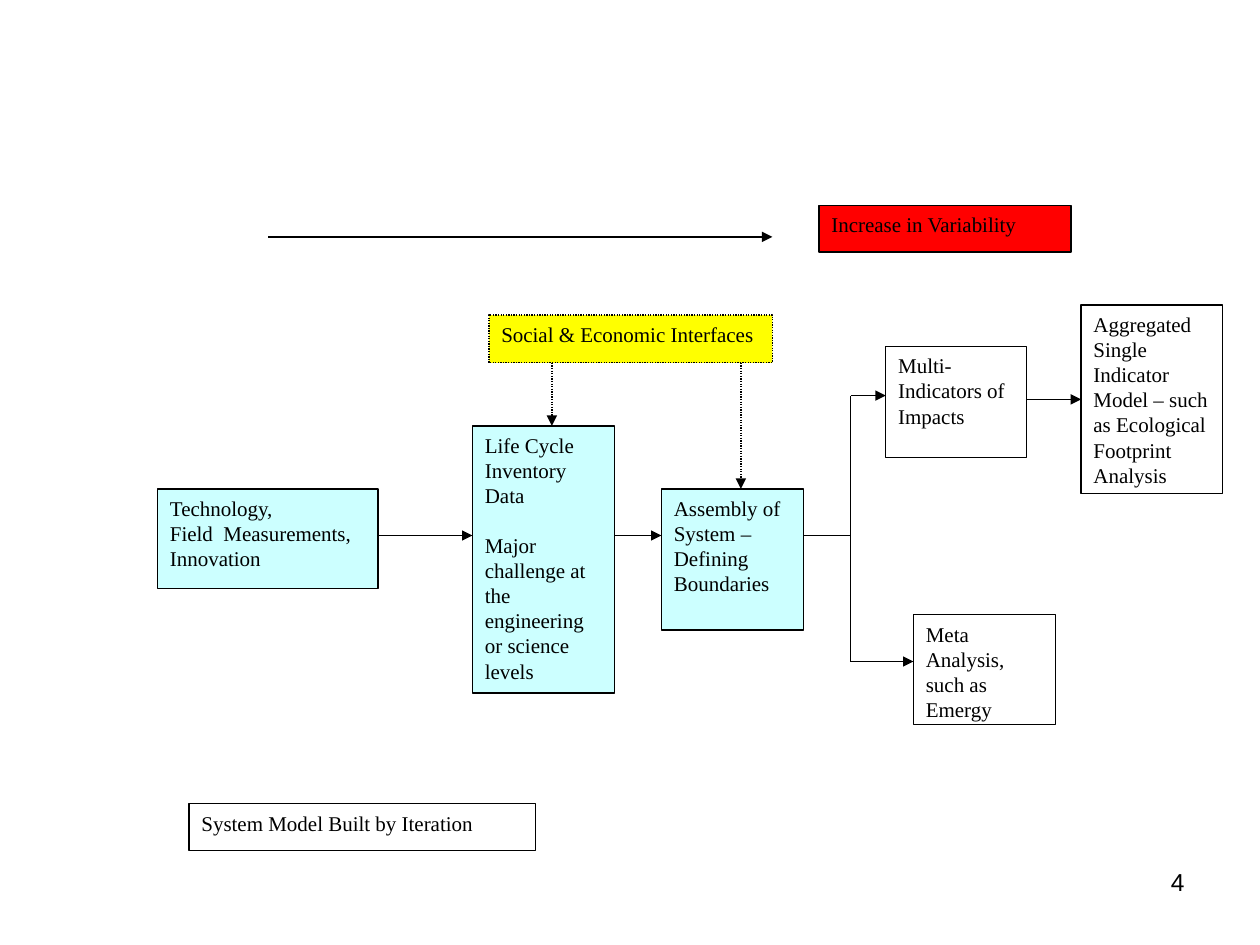
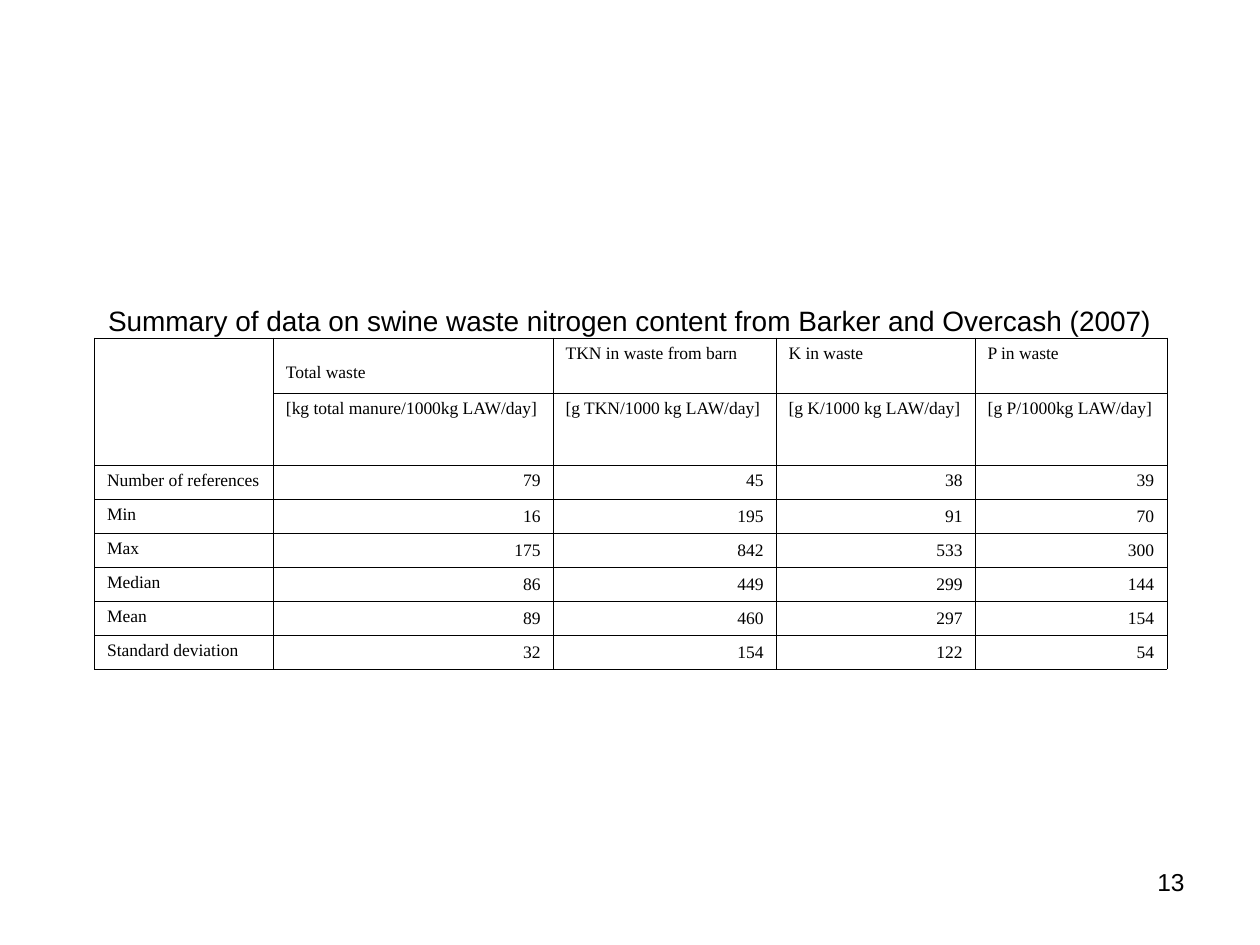
from dataclasses import dataclass

from lxml import etree
from pptx import Presentation
from pptx.dml.color import RGBColor
from pptx.enum.dml import MSO_LINE
from pptx.enum.shapes import MSO_CONNECTOR, MSO_SHAPE
from pptx.enum.text import MSO_ANCHOR, PP_ALIGN
from pptx.oxml.ns import qn
from pptx.util import Inches, Pt

RECTANGLE = MSO_SHAPE.RECTANGLE
STRAIGHT = MSO_CONNECTOR.STRAIGHT
DOTTED = MSO_LINE.ROUND_DOT
LEFT, RIGHT = PP_ALIGN.LEFT, PP_ALIGN.RIGHT
TOP, MIDDLE, BOTTOM = MSO_ANCHOR.TOP, MSO_ANCHOR.MIDDLE, MSO_ANCHOR.BOTTOM


@dataclass(frozen=True)
class Theme:
    black: str = "000000"
    white: str = "FFFFFF"
    cyan: str = "CCFFFF"
    yellow: str = "FFFF00"
    red: str = "FF0000"
    serif: str = "Times New Roman"
    sans: str = "Arial"
    title_size: int = 16
    number_size: int = 14
    diagram_size: int = 12
    table_size: int = 10
    line_width: float = 0.75
    border_width: float = 0.06


THEME = Theme()


@dataclass(frozen=True)
class Box:
    """A rectangle in inches."""
    left: float
    top: float
    width: float
    height: float

    @property
    def right(self):
        return self.left + self.width

    @property
    def bottom(self):
        return self.top + self.height

    def inside(self, left, top, width, height):
        """A box placed relative to this one's top left corner."""
        return Box(self.left + left, self.top + top, width, height)

    def lengths(self):
        return [Inches(value) for value in (self.left, self.top, self.width, self.height)]


NUMBER_BOX = Box(7.17, 6.83, 2.33, 0.52)
DIAGRAM_BOX = Box(1.25, 1.63, 8.45, 5.12)
SUMMARY_BOX = Box(0.75, 2.36, 8.51, 2.73)

COLUMN_WIDTHS = [1.42, 2.22, 1.77, 1.58, 1.52]
ROW_HEIGHTS = [0.44, 0.57] + [0.27] * 6
SUMMARY_ROWS = [
    ["", "Total waste", "TKN in waste from barn", "K in waste", "P in waste"],
    ["", "[kg total manure/1000kg LAW/day]", "[g TKN/1000 kg LAW/day]",
     "[g K/1000 kg LAW/day]", "[g P/1000kg LAW/day]"],
    ["Number of references", 79, 45, 38, 39],
    ["Min", 16, 195, 91, 70],
    ["Max", 175, 842, 533, 300],
    ["Median", 86, 449, 299, 144],
    ["Mean", 89, 460, 297, 154],
    ["Standard deviation", 32, 154, 122, 54],
]


def write_text(text_frame, text, size, font=THEME.serif, align=LEFT):
    text_frame.text = text
    for paragraph in text_frame.paragraphs:
        paragraph.alignment = align
        for run in paragraph.runs:
            run.font.name = font
            run.font.size = Pt(size)
            run.font.color.rgb = RGBColor.from_string(THEME.black)


def style_line(line, dash=None):
    line.color.rgb = RGBColor.from_string(THEME.black)
    line.width = Pt(THEME.line_width)
    if dash is not None:
        line.dash_style = dash


def add_label(slide, box, text, size, align=LEFT, anchor=TOP, wrap=True):
    text_frame = slide.shapes.add_textbox(*box.lengths()).text_frame
    text_frame.word_wrap = wrap
    text_frame.vertical_anchor = anchor
    write_text(text_frame, text, size, THEME.sans, align)


def add_page_number(slide, number):
    add_label(slide, NUMBER_BOX, str(number), THEME.number_size, align=RIGHT)


def add_node(slide, box, text, fill=THEME.white, dash=None):
    shape = slide.shapes.add_shape(RECTANGLE, *box.lengths())
    shape.shadow.inherit = False
    shape.fill.solid()
    shape.fill.fore_color.rgb = RGBColor.from_string(fill)
    style_line(shape.line, dash)
    shape.text_frame.word_wrap = True
    shape.text_frame.vertical_anchor = TOP
    write_text(shape.text_frame, text, THEME.diagram_size)
    return shape


def add_line(slide, start, end, arrow=True, dash=None):
    points = [Inches(value) for value in (*start, *end)]
    connector = slide.shapes.add_connector(STRAIGHT, *points)
    style_line(connector.line, dash)
    properties = connector._element.spPr
    if arrow:
        etree.SubElement(properties.find(qn("a:ln")), qn("a:tailEnd"), type="triangle")
    etree.SubElement(properties, qn("a:effectLst"))


def add_system_diagram(slide, box):
    technology = box.inside(0, 2.25, 1.75, 0.79)
    inventory = box.inside(2.5, 1.75, 1.13, 2.12)
    assembly = box.inside(4, 2.25, 1.13, 1.12)
    interfaces = box.inside(2.63, 0.87, 2.25, 0.38)
    indicators = box.inside(5.78, 1.12, 1.12, 0.88)
    aggregated = box.inside(7.33, 0.79, 1.12, 1.5)
    meta_analysis = box.inside(6, 3.25, 1.13, 0.87)

    add_node(slide, technology, "Technology,\nField  Measurements,\nInnovation", THEME.cyan)
    inventory_shape = add_node(
        slide, inventory,
        "Life Cycle Inventory Data\nMajor challenge at  the engineering or science levels",
        THEME.cyan)
    inventory_shape.text_frame.paragraphs[1].space_before = Pt(14)
    add_node(slide, assembly, "Assembly of System – Defining Boundaries", THEME.cyan)
    add_node(slide, interfaces, "Social & Economic Interfaces", THEME.yellow, DOTTED)
    add_node(slide, indicators, "Multi-\nIndicators of Impacts")
    add_node(slide, aggregated,
             "Aggregated Single Indicator Model – such as Ecological Footprint Analysis")
    add_node(slide, meta_analysis, "Meta Analysis, such as Emergy")
    add_node(slide, box.inside(5.25, 0, 2, 0.37), "Increase in Variability", THEME.red)
    add_node(slide, box.inside(0.25, 4.75, 2.75, 0.37), "System Model Built by Iteration")

    trend_y = box.top + 0.25
    add_line(slide, (box.left + 0.88, trend_y), (box.left + 4.88, trend_y))

    flow_y = box.top + 2.62
    for source, target in ((technology, inventory), (inventory, assembly)):
        add_line(slide, (source.right, flow_y), (target.left, flow_y))
    for target, offset in ((inventory, 3.13), (assembly, 4.63)):
        x = box.left + offset
        add_line(slide, (x, interfaces.bottom), (x, target.top), dash=DOTTED)

    branch_x = box.left + 5.5
    add_line(slide, (assembly.right, flow_y), (branch_x, flow_y), arrow=False)
    for target, offset in ((indicators, 1.51), (meta_analysis, 3.62)):
        y = box.top + offset
        add_line(slide, (branch_x, flow_y), (branch_x, y), arrow=False)
        add_line(slide, (branch_x, y), (target.left, y))
    aggregate_y = box.top + 1.54
    add_line(slide, (indicators.right, aggregate_y), (aggregated.left, aggregate_y))


def add_cell_borders(cell):
    properties = cell._tc.get_or_add_tcPr()
    for position, side in enumerate(("a:lnL", "a:lnR", "a:lnT", "a:lnB")):
        line = etree.Element(qn(side), w=str(Pt(THEME.border_width)))
        fill = etree.SubElement(line, qn("a:solidFill"))
        etree.SubElement(fill, qn("a:srgbClr"), val=THEME.black)
        properties.insert(position, line)


def add_summary_table(slide, box):
    table = slide.shapes.add_table(len(ROW_HEIGHTS), len(COLUMN_WIDTHS), *box.lengths()).table
    table.first_row = table.horz_banding = False
    for column, width in zip(table.columns, COLUMN_WIDTHS):
        column.width = Inches(width)
    for row, height in zip(table.rows, ROW_HEIGHTS):
        row.height = Inches(height)
    for row_index, values in enumerate(SUMMARY_ROWS):
        for column_index, value in enumerate(values):
            cell = table.cell(row_index, column_index)
            is_number = isinstance(value, int)
            write_text(cell.text_frame, str(value), THEME.table_size,
                       align=RIGHT if is_number else LEFT)
            cell.vertical_anchor = BOTTOM if is_number and row_index > 2 else TOP
            cell.fill.background()
            add_cell_borders(cell)
    table.cell(0, 0).merge(table.cell(1, 0))
    table.cell(0, 1).margin_top = Inches(0.2)


def add_data_summary(slide, box):
    add_label(slide, box.inside(0.01, 0, 8.48, 0.37),
              "Summary of data on swine waste nitrogen content from Barker and Overcash (2007)",
              THEME.title_size, anchor=MIDDLE, wrap=False)
    add_summary_table(slide, box.inside(0, 0.32, sum(COLUMN_WIDTHS), sum(ROW_HEIGHTS)))


def main():
    presentation = Presentation()
    presentation.slide_width = Inches(10)
    presentation.slide_height = Inches(7.5)
    blank_layout = presentation.slide_layouts[6]
    for add_content, box, number in ((add_system_diagram, DIAGRAM_BOX, 4),
                                     (add_data_summary, SUMMARY_BOX, 13)):
        slide = presentation.slides.add_slide(blank_layout)
        add_content(slide, box)
        add_page_number(slide, number)
    presentation.save("out.pptx")


if __name__ == "__main__":
    main()
